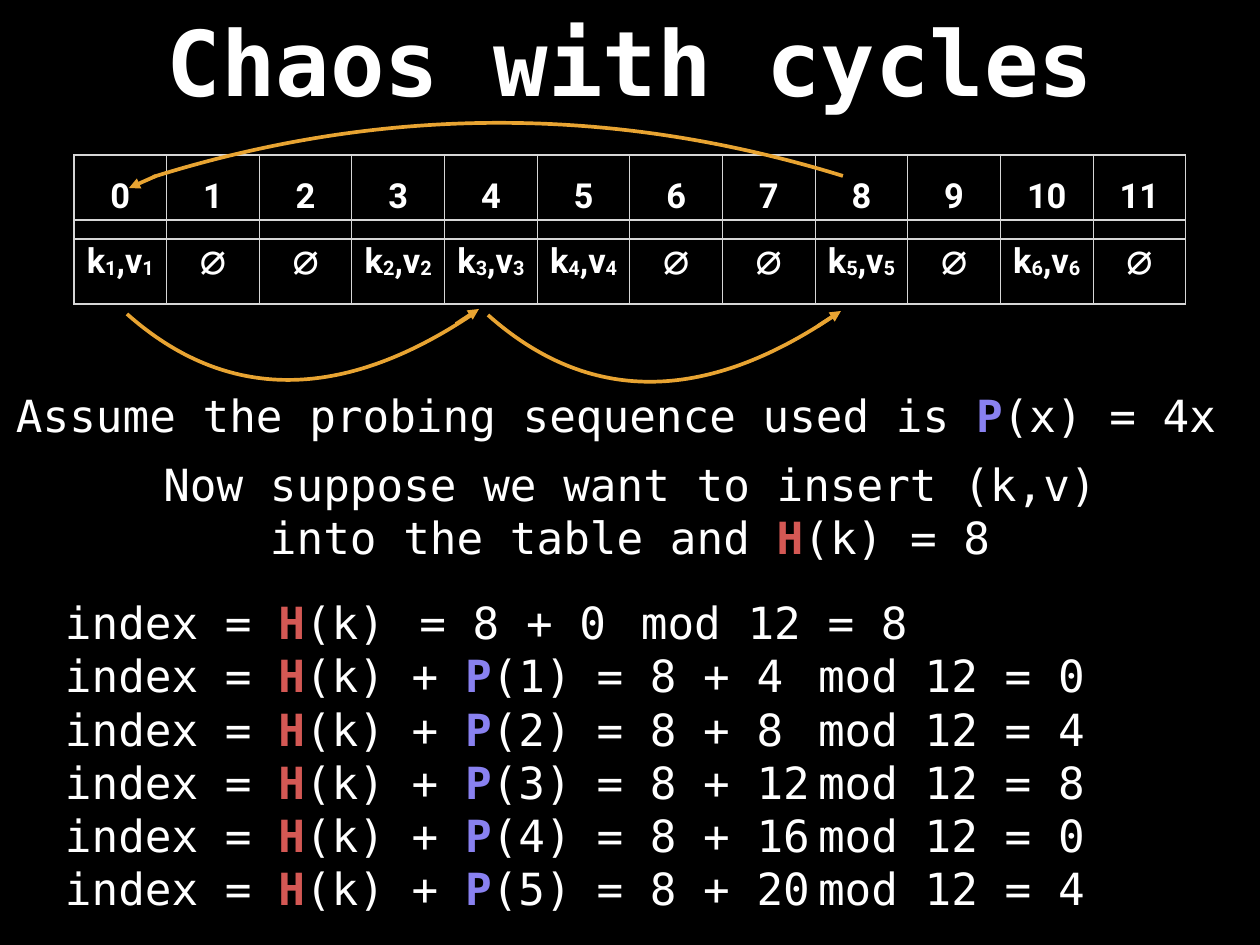
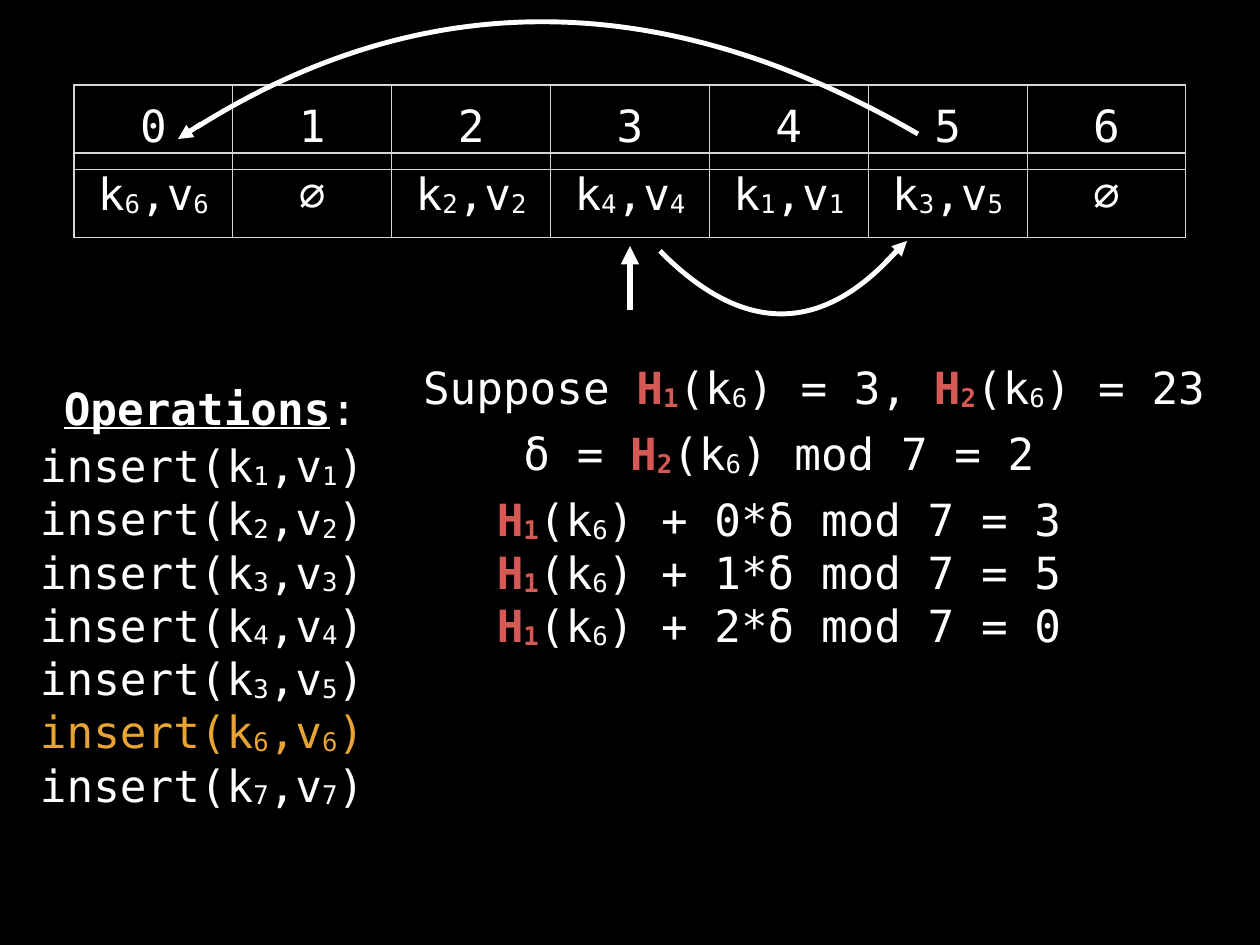
"""Build two slides on probing cycles and double hashing in hash tables."""
from lxml import etree
from pptx import Presentation, util as u
from pptx.dml.color import RGBColor
from pptx.enum import shapes, text
from pptx.oxml.ns import qn


class Theme:
    back = RGBColor(0, 0, 0)
    ink = RGBColor(255, 255, 255)
    red = RGBColor(0xD4, 0x58, 0x54)
    violet = RGBColor(0x89, 0x81, 0xF0)
    amber = RGBColor(0xE8, 0xA4, 0x32)
    grid = "D6D6D6"
    mono, sans = "DejaVu Sans Mono", "Roboto"
    title, body, small = 73.6, 36, 28
    pitch = u.Pt(43.3)
    px = 10321
    pad = 5 * px


ACCENTS = {"H": Theme.red, "P": Theme.violet, "Operations": Theme.ink}
NONE = "∅"


def write(para, words, size=Theme.body, hue=Theme.ink, face=Theme.mono, bold=False):
    """Write runs parted by bars; a leading underscore lowers a run."""
    for part in words.split("|"):
        sub = part.startswith("_")
        if not sub:
            tint, strong = ACCENTS.get(part, hue), bold or part in ACCENTS
        run = para.add_run()
        run.text = part.lstrip("_")
        font = run.font
        font.name, font.size, font.bold = face, u.Pt(size), strong
        font.color.rgb = tint
        if part == "Operations":
            font.underline = True
        if sub:
            run._r.get_or_add_rPr().set("baseline", "-6000")


def frame(shape, area, anchor=text.MSO_ANCHOR.MIDDLE):
    """Place a text shape and return its frame with even insets."""
    shape.left, shape.top, shape.width, shape.height = [n * Theme.px for n in area]
    tf = shape.text_frame
    tf.word_wrap, tf.auto_size = True, text.MSO_AUTO_SIZE.NONE
    tf.vertical_anchor = anchor
    tf.margin_left = tf.margin_right = tf.margin_top = tf.margin_bottom = Theme.pad
    return tf


def pair(key, val):
    return f"k|_{key}|,v|_{val}"


steps = [(8, 0), (0, 4), (4, 8), (8, 12), (0, 16), (4, 20)]
probes = []
for num, (slot, add) in enumerate(steps):
    term = f" + |P|({num})" if num else ""
    probes.append(f"index = |H|(k){term}\t= 8 + {add}\tmod 12 = {slot}")

calls = [(1, 1), (2, 2), (3, 3), (4, 4), (3, 5), (6, 6), (7, 7)]
sums = [((489, 489 + 53 * n, 580, 60), f"H|_1|(k|_6|) + {n}*δ mod 7 = {s}")
        for n, s in enumerate((3, 5, 0))]

pages = [
    dict(
        title="Chaos with cycles",
        tops=(155, 220), height=84,
        cells=[pair(1, 1), NONE, NONE, pair(2, 2), pair(3, 3), pair(4, 4),
               NONE, NONE, pair(5, 5), NONE, pair(6, 6), NONE],
        style=dict(size=Theme.small, face=Theme.sans, bold=True),
        notes=[
            ((0, 385, 1232, 60), "Assume the probing sequence used is |P|(x) = 4x"),
            ((150, 455, 960, 111),
             "Now suppose we want to insert (k,v) into the table and |H|(k) = 8"),
        ],
        area=(60, 590, 1078, 330), lines=probes, mark=None,
        hue=Theme.amber, weight=3,
        arcs=[((843, 176), (613, 105), (383, 105), (153, 177)),
              ((473, 314), (342, 402), (226, 402), (127, 314)),
              ((835, 315), (704, 404), (588, 404), (488, 315))],
        tips=[(156, 176, 129, 188, 3), (456, 324, 479, 309, 3),
              (818, 326, 841, 311, 3)],
    ),
    dict(
        title=None,
        tops=(85, 153), height=85,
        cells=[pair(6, 6), NONE, pair(2, 2), pair(4, 4), pair(1, 1), pair(3, 5), NONE],
        style={},
        notes=[
            ((48, 378, 325, 60), "Operations|:"),
            ((413, 357, 802, 60), "Suppose |H|_1|(k|_6|) = 3, |H|_2|(k|_6|) = 23"),
            ((516, 423, 526, 60), "δ = |H|_2|(k|_6|) mod 7 = 2"),
            *sums,
        ],
        area=(35, 433, 367, 385),
        lines=[f"insert({pair(k, v)}|)" for k, v in calls], mark=5,
        hue=Theme.ink, weight=4,
        arcs=[((900, 247), (824, 335), (744, 336), (660, 251)),
              ((197, 127), (425, -16), (666, -13), (918, 134))],
        tips=[(630, 310, 630, 246, 5), (886, 262, 907, 241, 4),
              (201, 124, 178, 139, 4)],
    ),
]

deck = Presentation()
px = Theme.px
deck.slide_width, deck.slide_height = 1260 * px, 945 * px
fill = deck.slide_master.background.fill
fill.solid()
fill.fore_color.rgb = Theme.back

for page in pages:
    slide = deck.slides.add_slide(deck.slide_layouts[1])
    head, body = slide.placeholders
    if page["title"]:
        para = frame(head, (0, 3, 1260, 115)).paragraphs[0]
        para.alignment = text.PP_ALIGN.CENTER
        write(para, page["title"], Theme.title, bold=True)
    else:
        head._element.getparent().remove(head._element)

    count = len(page["cells"])
    rows = [[str(n) for n in range(count)], page["cells"]]
    for top, row in zip(page["tops"], rows):
        table = slide.shapes.add_table(
            1, count, 74 * px, top * px, 1112 * px, page["height"] * px).table
        table.first_row = table.horz_banding = False
        for cell, words in zip(table.iter_cells(), row):
            edges = cell._tc.get_or_add_tcPr()
            for side in ("a:lnL", "a:lnR", "a:lnT", "a:lnB"):
                edge = etree.SubElement(edges, qn(side), w=str(u.Pt(1)))
                paint = etree.SubElement(edge, qn("a:solidFill"))
                etree.SubElement(paint, qn("a:srgbClr"), val=Theme.grid)
            cell.fill.background()
            cell.vertical_anchor = text.MSO_ANCHOR.MIDDLE
            cell.margin_left = cell.margin_right = Theme.pad
            cell.margin_top = cell.margin_bottom = Theme.pad
            para = cell.text_frame.paragraphs[0]
            para.alignment = text.PP_ALIGN.CENTER
            write(para, words, **({} if words == NONE else page["style"]))

    for area, words in page["notes"]:
        para = frame(slide.shapes.add_textbox(0, 0, 0, 0), area).paragraphs[0]
        para.alignment, para.line_spacing = text.PP_ALIGN.CENTER, Theme.pitch
        write(para, words)

    tf = frame(body, page["area"], text.MSO_ANCHOR.TOP)
    for num, words in enumerate(page["lines"]):
        para = tf.add_paragraph() if num else tf.paragraphs[0]
        para.alignment, para.line_spacing = text.PP_ALIGN.LEFT, Theme.pitch
        para.space_before = u.Pt(0)
        props = para._p.get_or_add_pPr()
        props.set("marL", "0")
        props.set("indent", "0")
        etree.SubElement(props, qn("a:buNone"))
        if "\t" in words:
            tabs = etree.SubElement(props, qn("a:tabLst"))
            for stop in (533, 773):
                etree.SubElement(tabs, qn("a:tab"), pos=str(stop * px), algn="l")
        write(para, words, hue=Theme.amber if num == page["mark"] else Theme.ink)

    for arc in page["arcs"]:
        start, one, two, end = arc
        peak = [round((a + 3 * b + 3 * c + d) / 8) for a, b, c, d in zip(*arc)]
        pen = slide.shapes.build_freeform(*start, scale=px)
        pen.add_line_segments([peak, end], close=False)
        curve = pen.convert_to_shape()
        curve.shadow.inherit = False
        curve.fill.background()
        curve.line.color.rgb, curve.line.width = page["hue"], u.Pt(page["weight"])
        track = curve._element.find(".//" + qn("a:path"))
        for leg in track.findall(qn("a:lnTo")):
            track.remove(leg)
        bend = etree.SubElement(track, qn("a:cubicBezTo"))
        left, top = [min(axis) for axis in zip(start, peak, end)]
        for x, y in (one, two, end):
            etree.SubElement(bend, qn("a:pt"), x=str(x - left), y=str(y - top))

    for *ends, weight in page["tips"]:
        arrow = slide.shapes.add_connector(
            shapes.MSO_CONNECTOR.STRAIGHT, *[n * px for n in ends])
        arrow.line.color.rgb, arrow.line.width = page["hue"], u.Pt(weight)
        etree.SubElement(arrow.line._get_or_add_ln(), qn("a:tailEnd"), type="triangle")
        etree.SubElement(arrow._element.spPr, qn("a:effectLst"))

deck.save("out.pptx")
